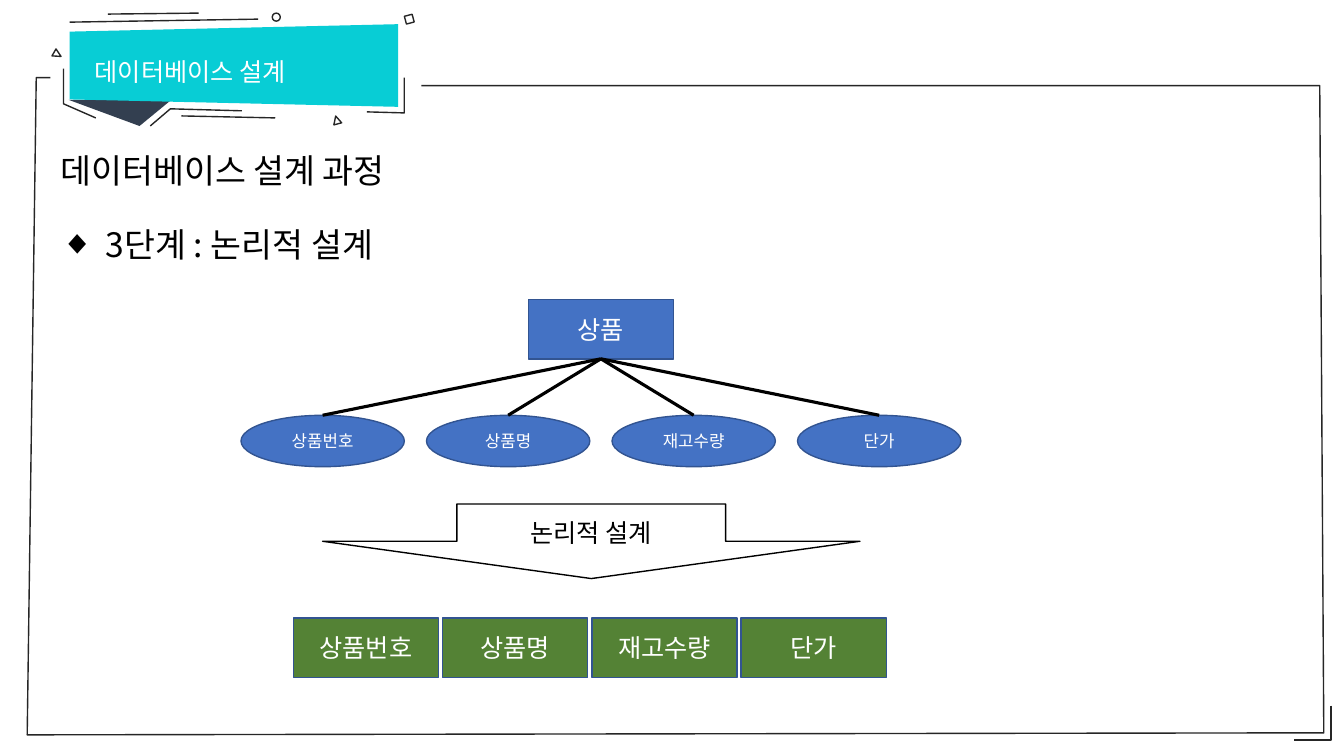
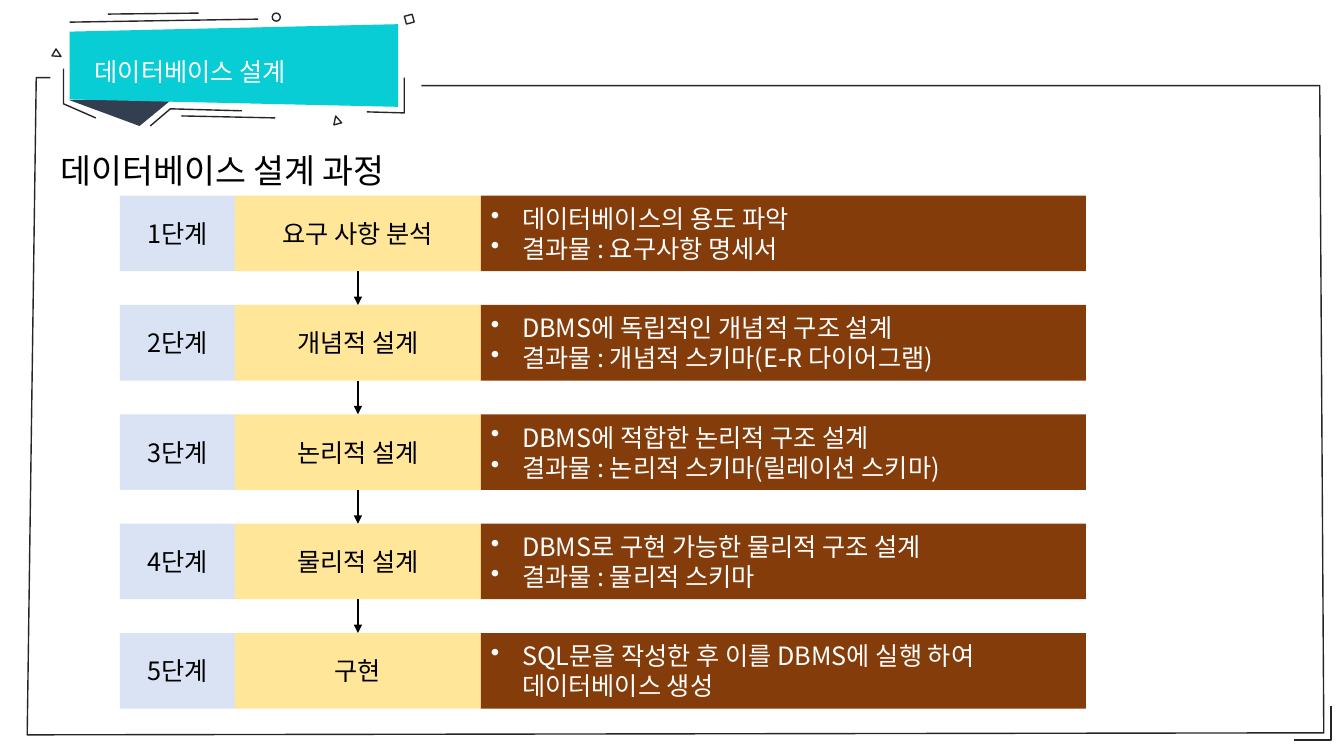
from dataclasses import dataclass

from lxml import etree
from pptx import Presentation
from pptx import util as u
from pptx.dml.color import RGBColor
from pptx.enum import shapes, text
from pptx.oxml.ns import qn

Inches, Pt = u.Inches, u.Pt
SHAPE, ALIGN, ANCHOR = shapes.MSO_SHAPE, text.PP_ALIGN, text.MSO_ANCHOR


@dataclass(frozen=True)
class Theme:
    font: str = "Noto Sans CJK KR"
    black: str = "000000"
    white: str = "FFFFFF"
    ink: str = "262626"
    banner: str = "08CDD5"
    fold: str = "333F50"
    entity: str = "4472C4"
    outline: str = "325491"
    column: str = "548235"
    step: str = "DAE3F3"
    stage: str = "FFE699"
    detail: str = "843C0B"
    heading: int = 24
    text: int = 18
    small: int = 12


T = Theme()

# Content
TITLE = "데이터베이스 설계"
HEADING = "데이터베이스 설계 과정"
STEP_HEADING = "3단계 : 논리적 설계"
ENTITY = "상품"
ATTRIBUTES = ["상품번호", "상품명", "재고수량", "단가"]
MAPPING = "논리적 설계"
STAGES = [
    ("1단계", "요구 사항 분석",
     ["데이터베이스의 용도 파악", "결과물 : 요구사항 명세서"]),
    ("2단계", "개념적 설계",
     ["DBMS에 독립적인 개념적 구조 설계",
      "결과물 : 개념적 스키마(E-R 다이어그램)"]),
    ("3단계", "논리적 설계",
     ["DBMS에 적합한 논리적 구조 설계",
      "결과물 : 논리적 스키마(릴레이션 스키마)"]),
    ("4단계", "물리적 설계",
     ["DBMS로 구현 가능한 물리적 구조 설계", "결과물 : 물리적 스키마"]),
    ("5단계", "구현",
     ["SQL문을 작성한 후 이를 DBMS에 실행 하여 데이터베이스 생성"]),
]

# Frame and banner decoration, in inches
FRAME = [(4.18, 0.85), (13.09, 0.85), (13.13, 7.27), (0.27, 7.29),
         (0.36, 0.77), (0.5, 0.77)]
CORNER = [(13.2, 7), (13.2, 7.34), (12.83, 7.34)]
BANNER_PATHS = [
    [(0.63, 0.68), (0.63, 1.03), (0.95, 1.17)],
    [(1.49, 1.25), (1.69, 1.08), (2.4, 1.1)],
    [(4.01, 0.77), (4.01, 1.12), (3.64, 1.11)],
]
BANNER_LINES = [
    [(0.69, 0.22), (2.56, 0.19)],
    [(1.07, 0.14), (1.97, 0.13)],
    [(1.8, 1.15), (2.73, 1.17)],
]
CONFETTI = [
    (SHAPE.OVAL, 2.7, 0.13, 0),
    (SHAPE.ISOSCELES_TRIANGLE, 3.3, 1.15, 345),
    (SHAPE.RECTANGLE, 4.02, 0.15, 345),
    (SHAPE.ISOSCELES_TRIANGLE, 0.53, 0.5, 120),
]


# Helpers
def rgb(color):
    return RGBColor.from_string(color)


def write(tf, content, size=T.text, color=T.black, align=ALIGN.LEFT,
          spacing=None, before=0, bullet=None, indent=0):
    """Add one formatted paragraph to a text frame."""
    p = tf.add_paragraph() if tf.text else tf.paragraphs[0]
    p.alignment, p.space_before = align, Pt(before)
    if spacing:
        p.line_spacing = Pt(spacing)
    pPr = p._p.get_or_add_pPr()
    pPr.set("marL", str(Inches(indent)))
    pPr.set("indent", str(-Inches(indent)))
    if bullet:
        etree.SubElement(pPr, qn("a:buChar")).set("char", bullet)
    else:
        etree.SubElement(pPr, qn("a:buNone"))
    r = p.add_run()
    r.text = content
    r.font.size, r.font.name = Pt(size), T.font
    r.font.color.rgb = rgb(color)
    ea = etree.SubElement(r._r.get_or_add_rPr(), qn("a:ea"))
    ea.set("typeface", T.font)


def paint(sp, fill=None, line=None):
    sp.shadow.inherit = False
    if fill:
        sp.fill.solid()
        sp.fill.fore_color.rgb = rgb(fill)
    else:
        sp.fill.background()
    if line:
        sp.line.color.rgb, sp.line.width = rgb(line), Pt(1)
    else:
        sp.line.fill.background()
    return sp


def box(parent, kind, at, fill=None, line=None, rotation=0, label=None, **fmt):
    sp = parent.add_shape(kind, *map(Inches, at))
    sp.rotation = rotation
    paint(sp, fill, line)
    sp.text_frame.word_wrap = True
    sp.text_frame.vertical_anchor = ANCHOR.MIDDLE
    if label:
        write(sp.text_frame, label, align=ALIGN.CENTER, **fmt)
    return sp


def outline(parent, points, fill=None):
    first, *rest = [tuple(map(Inches, pt)) for pt in points]
    builder = parent.build_freeform(*first, scale=1.0)
    builder.add_line_segments(rest, close=False)
    return paint(builder.convert_to_shape(), fill, T.ink)


def connector(parent, start=(0, 0), end=(0, 0), color=T.black, width=1.0):
    c = parent.add_connector(shapes.MSO_CONNECTOR.STRAIGHT,
                             *map(Inches, (*start, *end)))
    c.line.color.rgb, c.line.width = rgb(color), Pt(width)
    etree.SubElement(c.element.spPr, qn("a:effectLst"))
    return c


def link(parent, upper, lower, width, arrow=False):
    """Join the bottom of one shape to the top of another."""
    c = connector(parent, width=width)
    c.begin_connect(upper, 2)
    c.end_connect(lower, 0)
    if arrow:
        ln = c.element.spPr.find(qn("a:ln"))
        etree.SubElement(ln, qn("a:tailEnd")).set("type", "triangle")


# Shared layout
def prepare_layout(layout):
    places = {0: (0.84, 0.35, 2.31, 0.56), 1: (0.5, 1.46, 12.27, 4.95)}
    for ph in list(layout.placeholders):
        place = places.get(ph.placeholder_format.idx)
        if place is None:
            ph.element.getparent().remove(ph.element)
            continue
        ph.left, ph.top, ph.width, ph.height = map(Inches, place)


def decorate_layout(layout, slide):
    """Draw the frame and banner, then move them to the layout."""
    frame = slide.shapes.add_group_shape()
    outline(frame.shapes, FRAME, T.white)
    outline(frame.shapes, CORNER)

    banner = slide.shapes.add_group_shape()
    g = banner.shapes
    fold = box(g, SHAPE.ISOSCELES_TRIANGLE, (0.68, 0.99, 1.02, 0.26),
               T.fold, rotation=180)
    fold.adjustments[0] = 0.31
    plate = box(g, SHAPE.TRAPEZOID, (1.91, -0.98, 0.82, 3.26),
                T.banner, rotation=270)
    plate.adjustments[0] = 0.09
    for points in BANNER_PATHS:
        outline(g, points)
    for start, end in BANNER_LINES:
        connector(g, start, end, T.ink)
    for kind, x, y, rotation in CONFETTI:
        box(g, kind, (x, y, 0.08, 0.08), line=T.ink, rotation=rotation)

    for group in (frame, banner):
        layout.shapes.element.append(group.element)


def new_slide(prs, layout):
    s = prs.slides.add_slide(layout)
    title, body = s.shapes.title.text_frame, s.placeholders[1].text_frame
    for tf in (title, body):
        tf.word_wrap, tf.auto_size = True, text.MSO_AUTO_SIZE.NONE
        tf.vertical_anchor = ANCHOR.TOP
    write(title, TITLE, color=T.white, spacing=33)
    write(body, HEADING, size=T.heading, spacing=27)
    return s


# Slide 1: entity mapped to a table
def logical_design(s):
    write(s.placeholders[1].text_frame, STEP_HEADING, size=T.heading,
          spacing=43, before=10, bullet="◆", indent=0.45)
    sh = s.shapes
    entity = box(sh, SHAPE.RECTANGLE, (5.24, 2.97, 1.44, 0.59), T.entity,
                 T.outline, label=ENTITY, color=T.white)
    for i, name in enumerate(ATTRIBUTES):
        attribute = box(sh, SHAPE.OVAL, (2.39 + 1.84 * i, 4.12, 1.62, 0.51),
                        T.entity, T.outline, label=name, size=T.small,
                        color=T.white)
        link(sh, entity, attribute, 2.25)
        box(sh, SHAPE.RECTANGLE, (2.91 + 1.48 * i, 6.13, 1.44, 0.59),
            T.column, T.outline, label=name, color=T.white)
    box(sh, SHAPE.DOWN_ARROW, (3.2, 5, 5.33, 0.74), line=T.black,
        label=MAPPING)


# Slide 2: the five stages
def design_stages(s):
    sh, height, previous = s.shapes, 0.75, None
    pitch = (6.28 - 1.94) / (len(STAGES) - 1)
    for i, (step, name, details) in enumerate(STAGES):
        top = 1.94 + pitch * i
        box(sh, SHAPE.RECTANGLE, (1.19, top, 1.14, height), T.step, label=step)
        stage = box(sh, SHAPE.RECTANGLE, (2.33, top, 2.44, height), T.stage,
                    label=name)
        detail = box(sh, SHAPE.RECTANGLE, (4.77, top, 6, height), T.detail)
        for line in details:
            write(detail.text_frame, line, color=T.white, spacing=21.5,
                  bullet="•", indent=0.31)
        if previous:
            link(sh, previous, stage, 1.5, arrow=True)
        previous = stage


def main():
    prs = Presentation()
    prs.slide_width, prs.slide_height = Inches(13.33), Inches(7.5)
    layout = prs.slide_layouts[1]
    prepare_layout(layout)
    first = new_slide(prs, layout)
    decorate_layout(layout, first)
    logical_design(first)
    design_stages(new_slide(prs, layout))
    prs.save("out.pptx")


if __name__ == "__main__":
    main()
